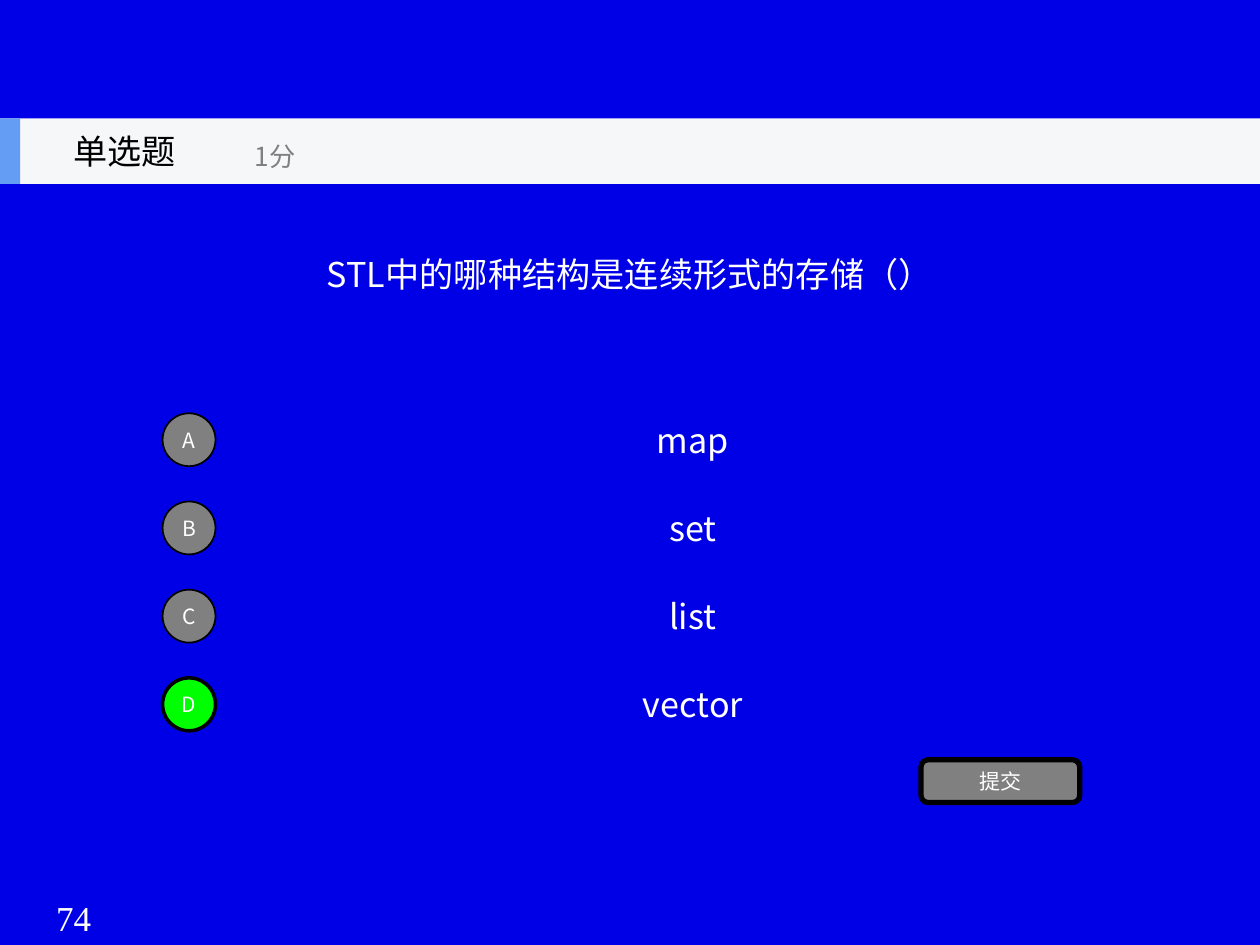
"""Build a single-choice quiz slide with four options and a submit button."""
from lxml.etree import SubElement
from pptx import Presentation
from pptx.dml.color import RGBColor
from pptx.enum.shapes import MSO_SHAPE
from pptx.enum.text import MSO_ANCHOR, MSO_AUTO_SIZE, PP_ALIGN
from pptx.oxml.ns import qn
from pptx.util import Inches, Pt

BLUE = RGBColor(0x00, 0x00, 0xE7)
WHITE = RGBColor(0xFF, 0xFF, 0xFF)
BLACK = RGBColor(0x00, 0x00, 0x00)
GRAY = RGBColor(0x80, 0x80, 0x80)
GREEN = RGBColor(0x00, 0xFF, 0x00)
PALE = RGBColor(0xF6, 0xF7, 0xF8)
ACCENT = RGBColor(0x63, 0x9E, 0xF4)
SANS = "Noto Sans CJK SC"
SERIF = "Times New Roman"

QUESTION = "STL中的哪种结构是连续形式的存储（）"
OPTIONS = [("A", "map"), ("B", "set"), ("C", "list"), ("D", "vector")]
ANSWER = "D"
HEADER_BARS = [((0, 0.94, 10, 0.52), PALE), ((0, 0.94, 0.16, 0.52), ACCENT)]
HEADER_LABELS = [
    ("单选题", (0.21, 0.94, 1.56, 0.52), 19.5, BLACK),
    ("1分", (1.25, 1.03, 1.87, 0.42), 15, GRAY),
]
FIRST_OPTION_CENTER, OPTION_STEP = 3.49, 0.7
OPTION_HEIGHT, BADGE_SIZE = 0.53, 0.42


def write(shape, text, size, color=WHITE, font=SANS, wrap=True):
    frame = shape.text_frame
    frame.auto_size = MSO_AUTO_SIZE.NONE
    frame.word_wrap = wrap
    frame.vertical_anchor = MSO_ANCHOR.MIDDLE
    para = frame.paragraphs[0]
    para.alignment = PP_ALIGN.CENTER
    span = para.add_run()
    span.text = text
    span.font.size = Pt(size)
    span.font.name = font
    span.font.color.rgb = color
    SubElement(span.font._element, qn("a:ea")).set("typeface", font)


def add_label(shapes, text, area, size, color=WHITE, font=SANS, wrap=True):
    box = shapes.add_textbox(*map(Inches, area))
    write(box, text, size, color, font, wrap)


def add_block(shapes, kind, area, fill, line_width=0):
    block = shapes.add_shape(kind, *map(Inches, area))
    block.shadow.inherit = False
    block.fill.solid()
    block.fill.fore_color.rgb = fill
    if line_width:
        block.line.color.rgb = BLACK
        block.line.width = Pt(line_width)
    else:
        block.line.fill.background()
    return block


def add_button(shapes, kind, area, fill, line_width, text):
    button = add_block(shapes, kind, area, fill, line_width)
    button.text_frame.margin_left = button.text_frame.margin_right = 0
    button.text_frame.margin_top = button.text_frame.margin_bottom = 0
    write(button, text, 12)


def main():
    deck = Presentation()
    deck.slide_width, deck.slide_height = Inches(10), Inches(7.5)
    page = deck.slides.add_slide(deck.slide_layouts[5])
    page.background.fill.solid()
    page.background.fill.fore_color.rgb = BLUE
    shapes = page.shapes

    title = shapes.title
    title.left, title.top, title.width, title.height = map(Inches, (1, 1.29, 8, 1.76))
    write(title, QUESTION, 19.5)
    add_label(shapes, "74", (0.17, 7.07, 0.83, 0.43), 20, font=SERIF)

    for index, (letter, answer) in enumerate(OPTIONS):
        center = FIRST_OPTION_CENTER + index * OPTION_STEP
        add_label(shapes, answer, (2, center - OPTION_HEIGHT / 2, 7, OPTION_HEIGHT), 19.5)
        fill, line_width = (GREEN, 2) if letter == ANSWER else (GRAY, 1)
        badge_area = (1.29, center - BADGE_SIZE / 2, BADGE_SIZE, BADGE_SIZE)
        add_button(shapes, MSO_SHAPE.OVAL, badge_area, fill, line_width, letter)

    submit_area = (7.31, 6.03, 1.26, 0.34)
    add_button(shapes, MSO_SHAPE.ROUNDED_RECTANGLE, submit_area, GRAY, 3, "提交")

    header = shapes.add_group_shape().shapes
    for area, fill in HEADER_BARS:
        add_block(header, MSO_SHAPE.RECTANGLE, area, fill)
    for text, area, size, color in HEADER_LABELS:
        add_label(header, text, area, size, color, wrap=False)

    deck.save("out.pptx")


if __name__ == "__main__":
    main()
